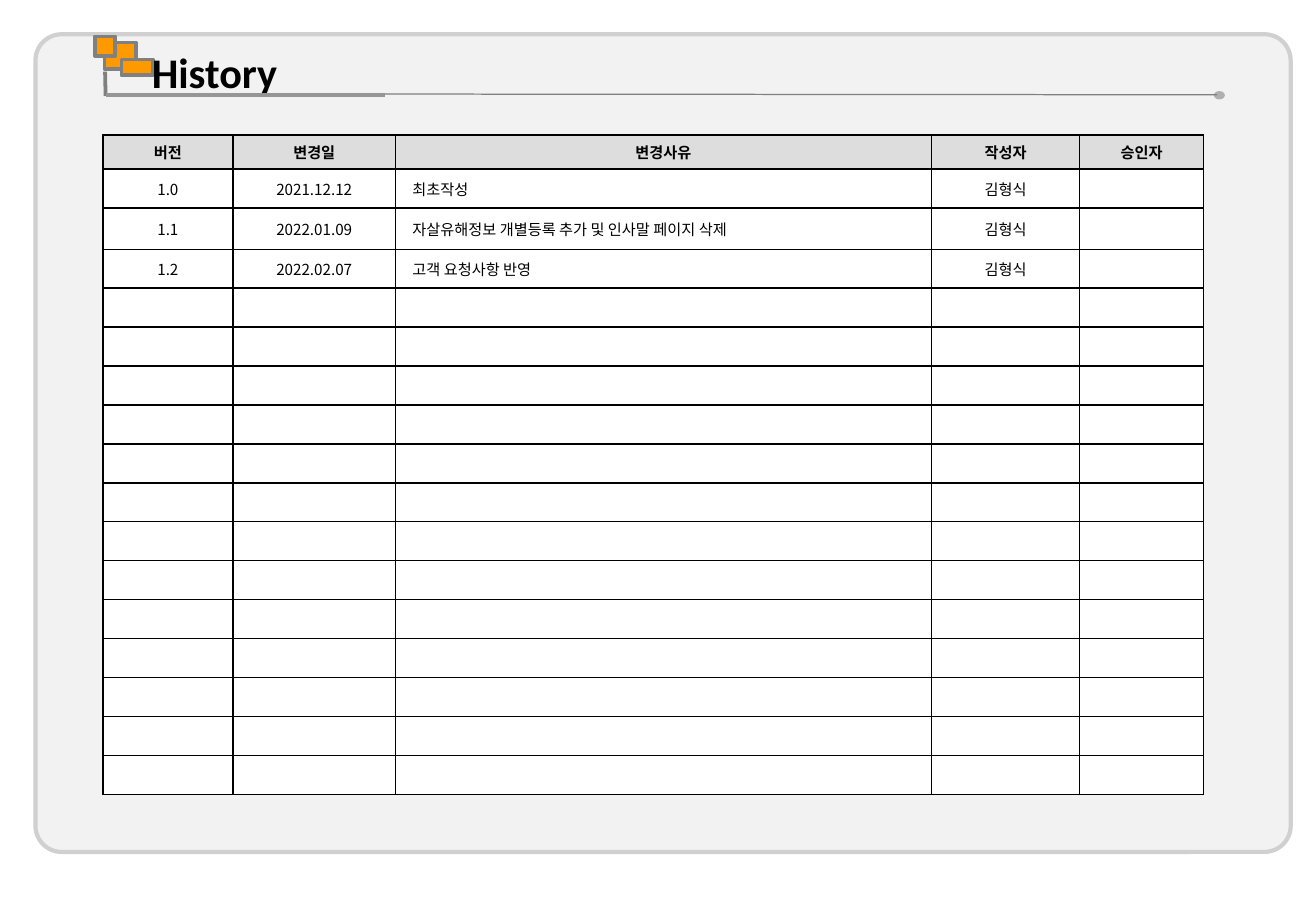
"""Build the document history slide: framed panel, ornamented title and version table."""
from lxml import etree
from pptx import Presentation
from pptx.dml.color import RGBColor
from pptx.enum import shapes, text
from pptx.oxml import ns
from pptx.util import Pt

COLORS = {
    "panel": "F2F2F2", "frame": "D0D0D0", "dot": "B0B0B0", "accent": "FF9900",
    "rule": "808080", "underline": "969696", "header": "DDDDDD",
    "white": "FFFFFF", "ink": "000000",
}
HEADERS = ["버전", "변경일", "변경사유", "작성자", "승인자"]
VERSIONS = [
    ["1.0", "2021.12.12", "최초작성", "김형식", ""],
    ["1.1", "2022.01.09", "자살유해정보 개별등록 추가 및 인사말 페이지 삭제", "김형식", ""],
    ["1.2", "2022.02.07", "고객 요청사항 반영", "김형식", ""],
]
BLANK_ROWS = 13
COLUMN_WIDTHS = [77, 96.5, 317.5, 88, 73.5]
HEADER_HEIGHT, ROW_HEIGHT, TALL_HEIGHT = 20.2, 23.1, 24.5
REASON_COLUMN = 2


class SlideBuilder:
    """Hold the slide and its style, and draw each kind of element."""

    def __init__(self, slide):
        self.slide = slide
        self.title_font = "Calibri"
        self.table_font = "Noto Sans CJK KR"

    def color(self, name):
        return RGBColor.from_string(COLORS[name])

    def paint(self, fill, name):
        fill.solid()
        fill.fore_color.rgb = self.color(name)

    def style(self, paragraph, family, size, bold):
        font = paragraph.font
        font.size, font.bold, font.name = Pt(size), bold, family
        font.color.rgb = self.color("ink")
        properties = paragraph._p.pPr.find(ns.qn("a:defRPr"))
        etree.SubElement(properties, ns.qn("a:ea"), typeface=family)

    def shape(self, kind, box, fill, line=None, weight=0):
        shape = self.slide.shapes.add_shape(kind, *map(Pt, box))
        shape.shadow.inherit = False
        self.paint(shape.fill, fill)
        if line:
            shape.line.color.rgb = self.color(line)
            shape.line.width = Pt(weight)
        else:
            shape.line.fill.background()
        return shape

    def line(self, start, end, color, weight):
        line = self.slide.shapes.add_connector(
            shapes.MSO_CONNECTOR.STRAIGHT, *map(Pt, start + end))
        line.line.color.rgb = self.color(color)
        line.line.width = Pt(weight)
        etree.SubElement(line._element.spPr, ns.qn("a:effectLst"))

    def title(self, words, box):
        title = self.slide.shapes.title
        title.left, title.top, title.width, title.height = map(Pt, box)
        frame = title.text_frame
        frame.text = words
        frame.auto_size = text.MSO_AUTO_SIZE.NONE
        frame.vertical_anchor = text.MSO_ANCHOR.MIDDLE
        heading = frame.paragraphs[0]
        heading.alignment = text.PP_ALIGN.LEFT
        self.style(heading, self.title_font, 25, True)
        self.slide.shapes._spTree.append(title._element)

    def border(self, cell):
        properties = cell._tc.get_or_add_tcPr()
        for side in ("lnL", "lnR", "lnT", "lnB"):
            edge = etree.SubElement(properties, ns.qn(f"a:{side}"), w=str(Pt(1)))
            fill = etree.SubElement(edge, ns.qn("a:solidFill"))
            etree.SubElement(fill, ns.qn("a:srgbClr"), val=COLORS["ink"])

    def cell(self, cell, words, header, centered):
        self.border(cell)
        self.paint(cell.fill, "header" if header else "white")
        cell.margin_left = cell.margin_right = Pt(10)
        cell.margin_top = cell.margin_bottom = Pt(3)
        cell.vertical_anchor = text.MSO_ANCHOR.MIDDLE
        paragraph = cell.text_frame.paragraphs[0]
        paragraph.alignment = text.PP_ALIGN.CENTER if centered else text.PP_ALIGN.LEFT
        self.style(paragraph, self.table_font, 9, header)
        if words:
            paragraph.add_run().text = words
        else:
            etree.SubElement(paragraph._p, ns.qn("a:endParaRPr"), sz="900")

    def table(self, left, top, rows, widths, heights):
        table = self.slide.shapes.add_table(
            len(rows), len(widths), Pt(left), Pt(top),
            Pt(sum(widths)), Pt(sum(heights))).table
        table.horz_banding = False
        for column, width in zip(table.columns, widths):
            column.width = Pt(width)
        for r, (row, height) in enumerate(zip(rows, heights)):
            table.rows[r].height = Pt(height)
            for c, words in enumerate(row):
                header = r == 0
                self.cell(table.cell(r, c), words, header, header or c != REASON_COLUMN)


def main():
    deck = Presentation()
    deck.slide_width, deck.slide_height = Pt(780), Pt(540)
    history = SlideBuilder(deck.slides.add_slide(deck.slide_layouts[5]))
    kinds = shapes.MSO_SHAPE

    panel = history.shape(
        kinds.ROUNDED_RECTANGLE, (21, 20.3, 744, 484.7), "panel", "frame", 2.5)
    panel.adjustments[0] = 0.032
    history.shape(kinds.OVAL, (719.5, 54, 6.5, 5), "dot")
    for tile in [(62, 25.2, 18.7, 15.8), (72, 35.3, 18.7, 9.4), (56.2, 21.6, 12.2, 11.5)]:
        history.shape(kinds.RECTANGLE, tile, "accent", "rule", 2.25)
    history.line((62.3, 42.5), (62.6, 56.9), "rule", 2.25)
    history.line((146.9, 55.7), (721.4, 56.2), "rule", 0.75)
    history.title("History", (82.8, 23.5, 162.7, 37.4))
    history.line((62.6, 56.2), (228.2, 56.2), "underline", 2.25)

    rows = [HEADERS] + VERSIONS + [[""] * len(HEADERS)] * BLANK_ROWS
    heights = [HEADER_HEIGHT, ROW_HEIGHT, TALL_HEIGHT] + [ROW_HEIGHT] * (len(rows) - 3)
    history.table(61, 80, rows, COLUMN_WIDTHS, heights)
    deck.save("out.pptx")


if __name__ == "__main__":
    main()
